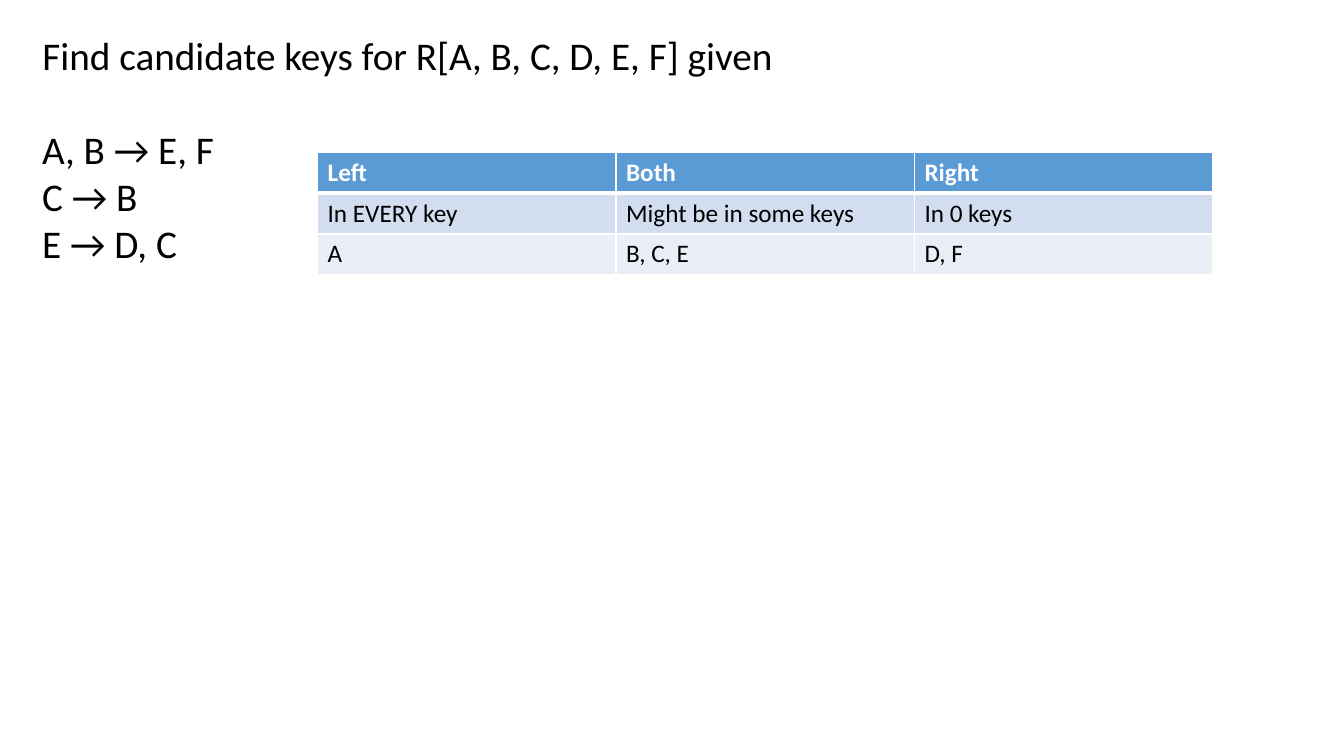
import pptx
import pptx.dml.color
import pptx.enum.text
import pptx.oxml.ns
import pptx.util
from lxml import etree

Inches = pptx.util.Inches
Pt = pptx.util.Pt
FONT = "Calibri"
COLORS = {
    "text": "000000",
    "header_text": "FFFFFF",
    "border": "FFFFFF",
    "header": "5B9BD5",
    "odd_row": "D2DEEF",
    "even_row": "EAEFF7",
}

TITLE = "Find candidate keys for R[A, B, C, D, E, F] given"
DEPENDENCIES = ["A, B → E, F", "C → B", "E → D, C"]
KEY_ROWS = [
    ["Left", "Both", "Right"],
    ["In EVERY key", "Might be in some keys", "In 0 keys"],
    ["A", "B, C, E", "D, F"],
]


def rgb(name):
    return pptx.dml.color.RGBColor.from_string(COLORS[name])


def format_text(tf, size, color="text", bold=False):
    for p in tf.paragraphs:
        p.alignment = pptx.enum.text.PP_ALIGN.LEFT
        for r in p.runs:
            r.font.name = FONT
            r.font.size = Pt(size)
            r.font.bold = bold
            r.font.color.rgb = rgb(color)


def fill_text_box(sp, lines):
    tf = sp.text_frame
    tf.text = "\n".join(lines)
    tf.word_wrap = True
    tf.auto_size = pptx.enum.text.MSO_AUTO_SIZE.NONE
    tf.vertical_anchor = pptx.enum.text.MSO_ANCHOR.TOP
    format_text(tf, 28)


def add_title(s, left, top, width, height):
    sp = s.shapes.title
    sp.left, sp.top, sp.width, sp.height = map(Inches, (left, top, width, height))
    fill_text_box(sp, [TITLE])


def add_dependencies(s, left, top, width, height):
    sp = s.shapes.add_textbox(*map(Inches, (left, top, width, height)))
    fill_text_box(sp, DEPENDENCIES)


def set_border(cell, side, width):
    qn = pptx.oxml.ns.qn
    tc_pr = cell._tc.get_or_add_tcPr()
    line = etree.SubElement(tc_pr, qn("a:ln" + side), w=str(Pt(width)))
    fill = etree.SubElement(line, qn("a:solidFill"))
    etree.SubElement(fill, qn("a:srgbClr"), val=COLORS["border"])


def add_key_table(s, left, top, width, height):
    table = s.shapes.add_table(
        len(KEY_ROWS), len(KEY_ROWS[0]), *map(Inches, (left, top, width, height))
    ).table
    fills = ["header", "odd_row", "even_row"]
    for i, row in enumerate(KEY_ROWS):
        is_header = i == 0
        for j, text in enumerate(row):
            cell = table.cell(i, j)
            # Thick white rule between the header and the body
            for side in ("L", "R", "T", "B"):
                thick = (is_header and side == "B") or (i == 1 and side == "T")
                set_border(cell, side, 3 if thick else 1)
            cell.fill.solid()
            cell.fill.fore_color.rgb = rgb(fills[i])
            cell.text_frame.text = text
            format_text(cell.text_frame, 18,
                        "header_text" if is_header else "text", is_header)


def main():
    prs = pptx.Presentation()
    prs.slide_width = Inches(13.33)
    prs.slide_height = Inches(7.5)
    s = prs.slides.add_slide(prs.slide_layouts.get_by_name("Title Only"))

    # Question, functional dependencies, attribute classification
    add_title(s, 0.32, 0.26, 12.71, 0.6)
    add_dependencies(s, 0.32, 1.19, 2.6, 1.53)
    add_key_table(s, 3.15, 1.51, 8.88, 1.2)

    prs.save("out.pptx")


if __name__ == "__main__":
    main()
